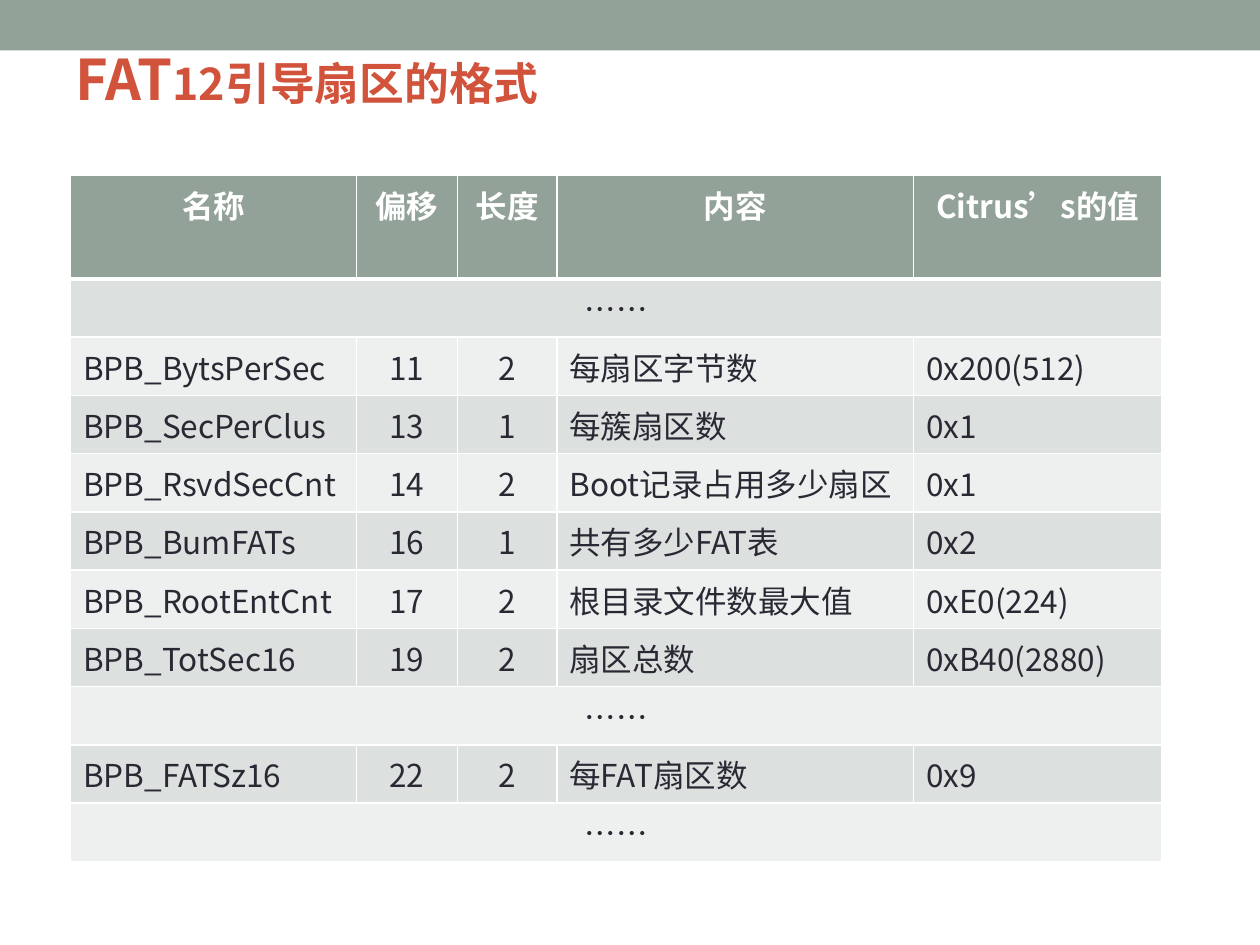
from dataclasses import dataclass

import pptx
import pptx.dml.color
import pptx.enum.shapes
import pptx.enum.text
import pptx.oxml
import pptx.oxml.ns
import pptx.util

Inches = pptx.util.Inches
Pt = pptx.util.Pt
ALIGN = pptx.enum.text.PP_ALIGN
FONT = "Noto Sans CJK JP"
COLORS = {
    "sage": "93A299",
    "dark": "DCE0DE",
    "light": "EEF0EF",
    "white": "FFFFFF",
    "ink": "292934",
    "red": "D2533C",
}


@dataclass
class Field:
    name: str
    offset: str
    size: str
    note: str
    value: str


HEAD = Field("名称", "偏移", "长度", "内容", "Citrus’s的值")
GAP = "……"
ROWS = [
    GAP,
    Field("BPB_BytsPerSec", "11", "2", "每扇区字节数", "0x200(512)"),
    Field("BPB_SecPerClus", "13", "1", "每簇扇区数", "0x1"),
    Field("BPB_RsvdSecCnt", "14", "2", "Boot记录占用多少扇区", "0x1"),
    Field("BPB_BumFATs", "16", "1", "共有多少FAT表", "0x2"),
    Field("BPB_RootEntCnt", "17", "2", "根目录文件数最大值", "0xE0(224)"),
    Field("BPB_TotSec16", "19", "2", "扇区总数", "0xB40(2880)"),
    GAP,
    Field("BPB_FATSz16", "22", "2", "每FAT扇区数", "0x9"),
    GAP,
]
WIDTHS = [2.27, 0.8, 0.79, 2.83, 1.97]
CENTRED = {1, 2}


def rgb(key: str) -> pptx.dml.color.RGBColor:
    return pptx.dml.color.RGBColor.from_string(COLORS[key])


def style(para, size: int, color: str, bold: bool, align) -> None:
    para.alignment = align
    font = para.font
    font.size, font.bold, font.name = Pt(size), bold, FONT
    font.color.rgb = rgb(color)
    # East Asian text takes its typeface from a separate element
    latin = font._element.find(pptx.oxml.ns.qn("a:latin"))
    latin.addnext(pptx.oxml.parse_xml(
        f'<a:ea {pptx.oxml.ns.nsdecls("a")} typeface="{FONT}"/>'))


def border(cell, low: int) -> None:
    props = cell._tc.get_or_add_tcPr()
    for side, width in zip("LRTB", (1, 1, 1, low)):
        props.append(pptx.oxml.parse_xml(
            f'<a:ln{side} {pptx.oxml.ns.nsdecls("a")} w="{Pt(width)}">'
            f'<a:solidFill><a:srgbClr val="{COLORS["white"]}"/></a:solidFill>'
            f'</a:ln{side}>'))


def put(cell, text: str, fill: str, head: bool, align) -> None:
    border(cell, 3 if head else 1)
    cell.fill.solid()
    cell.fill.fore_color.rgb = rgb(fill)
    cell.text = text
    style(cell.text_frame.paragraphs[0], 18, "white" if head else "ink", head, align)


def draw_table(slide) -> None:
    rows = [HEAD, *ROWS]
    table = slide.shapes.add_table(
        len(rows), len(WIDTHS), Inches(0.56), Inches(1.39),
        Inches(sum(WIDTHS)), Inches(0.41 * len(rows))).table
    for col, width in zip(table.columns, WIDTHS):
        col.width = Inches(width)
    for r, row in enumerate(rows):
        head = r == 0
        fill = "sage" if head else ("dark" if r % 2 else "light")
        if row == GAP:
            table.cell(r, 0).merge(table.cell(r, len(WIDTHS) - 1))
            put(table.cell(r, 0), GAP, fill, False, ALIGN.CENTER)
            continue
        texts = (row.name, row.offset, row.size, row.note, row.value)
        for c, text in enumerate(texts):
            align = ALIGN.CENTER if head or c in CENTRED else ALIGN.LEFT
            put(table.cell(r, c), text, fill, head, align)


def draw_title(slide) -> None:
    title = slide.shapes.title
    title.left, title.top = Inches(0.5), Inches(0.3)
    title.width, title.height = Inches(8.17), Inches(1.25)
    frame = title.text_frame
    frame.text = "FAT12引导扇区的格式"
    frame.word_wrap = True
    frame.auto_size = pptx.enum.text.MSO_AUTO_SIZE.NONE
    frame.vertical_anchor = pptx.enum.text.MSO_ANCHOR.TOP
    para = frame.paragraphs[0]
    style(para, 32, "red", True, ALIGN.LEFT)
    para.runs[0].font._element.set("cap", "small")
    # Bring the title to the front
    slide.shapes._spTree.append(title._element)


deck = pptx.Presentation()
deck.slide_width, deck.slide_height = Inches(10), Inches(7.5)
slide = deck.slides.add_slide(deck.slide_layouts[5])

# Top band
band = slide.shapes.add_shape(
    pptx.enum.shapes.MSO_SHAPE.RECTANGLE, 0, 0, deck.slide_width, Inches(0.4))
band.shadow.inherit = False
band.fill.solid()
band.fill.fore_color.rgb = rgb("sage")
band.line.fill.background()

# Boot sector fields and heading
draw_table(slide)
draw_title(slide)

deck.save("out.pptx")
